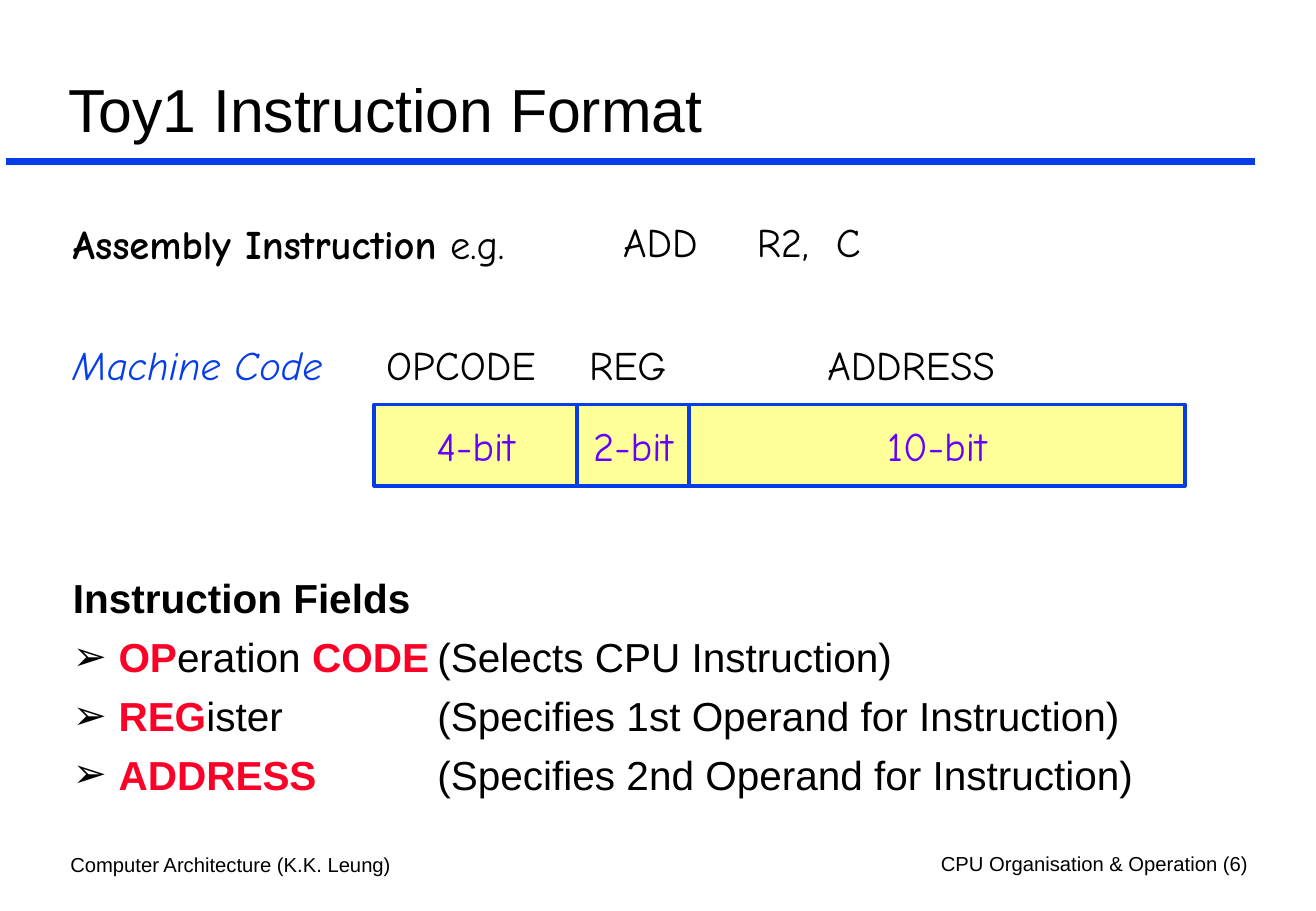
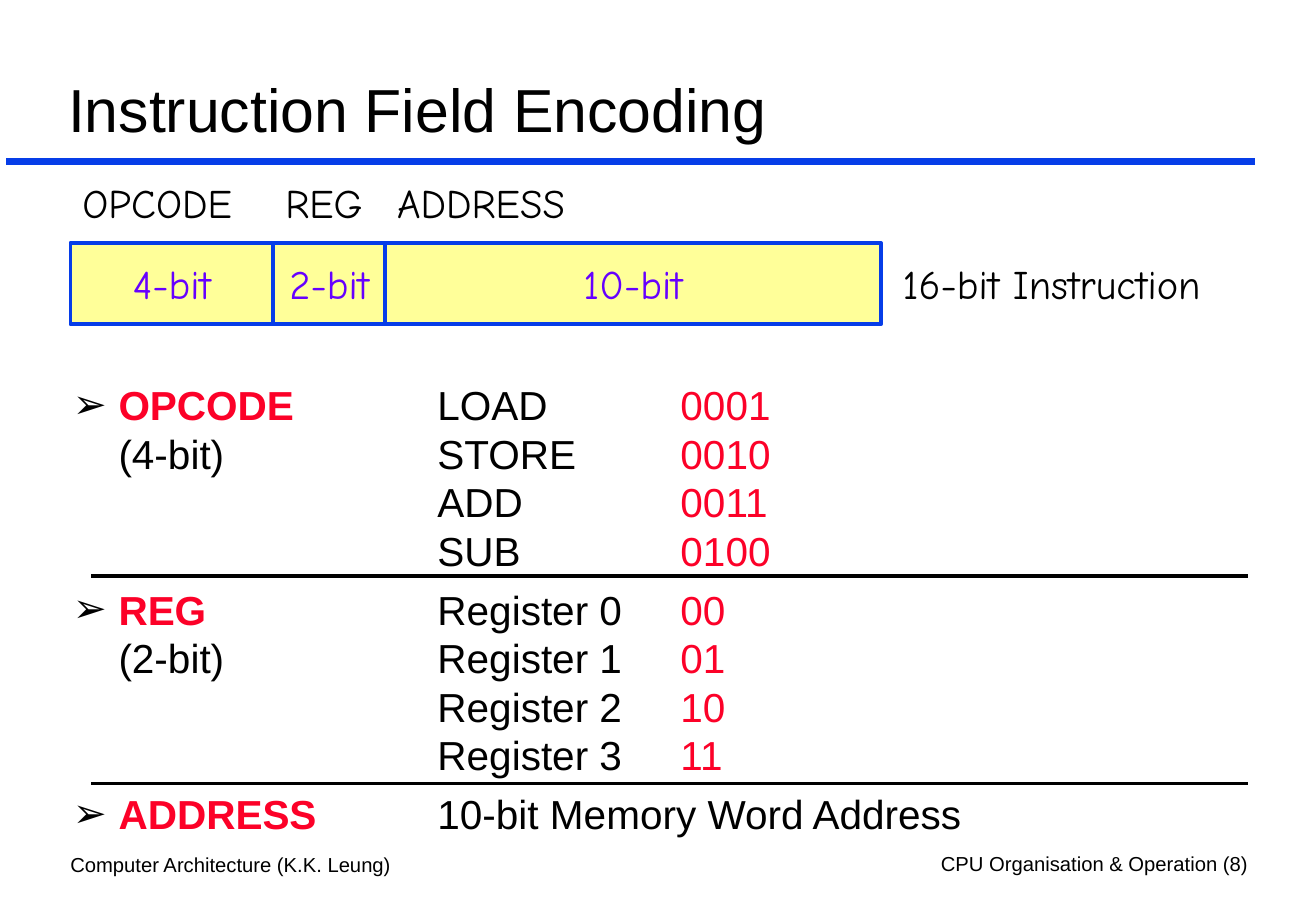
from lxml.etree import SubElement
from pptx import Presentation
from pptx.dml.color import RGBColor
from pptx.enum.shapes import MSO_CONNECTOR, MSO_SHAPE
from pptx.enum.text import MSO_ANCHOR, MSO_AUTO_SIZE, PP_ALIGN
from pptx.oxml.ns import qn
from pptx.util import Pt

PX = 9144
BLACK = RGBColor(0x00, 0x00, 0x00)
BLUE = RGBColor(0x06, 0x3D, 0xE8)
RED = RGBColor(0xFC, 0x01, 0x28)
VIOLET = RGBColor(0x66, 0x00, 0xFF)
YELLOW = RGBColor(0xFF, 0xFF, 0x99)
SANS = "Arial"
COMIC = "Comic Neue"
FIELDS = [("OPCODE", "4-bit", 167), ("REG", "2-bit", 92), ("ADDRESS", "10-bit", 408)]
STOPS = (300, 500)


def scale(*sizes):
    """Turn px lengths into EMU."""
    return [size * PX for size in sizes]


def style(run, size=24, face=SANS, color=BLACK, bold=False, italic=False):
    """Format one run."""
    font = run.font
    font.size, font.name = Pt(size), face
    font.color.rgb = color
    font.bold, font.italic = bold, italic


def add_tabs(para, stops):
    """Set left tab stops, given in px."""
    tabs = SubElement(para._p.get_or_add_pPr(), qn("a:tabLst"))
    for stop in stops:
        SubElement(tabs, qn("a:tab"), pos=str(stop * PX), algn="l")


def add_mark(para, char):
    """Give a paragraph a black bullet, or none."""
    props = para._p.get_or_add_pPr()
    if char:
        color = SubElement(props, qn("a:buClr"))
        SubElement(color, qn("a:srgbClr"), val=str(BLACK))
        SubElement(props, qn("a:buChar"), char=char)
    else:
        SubElement(props, qn("a:buNone"))


def add_text(slide, box, text, align=PP_ALIGN.LEFT, stops=(), **look):
    """Add a text box with one line and return its paragraph."""
    frame = slide.shapes.add_textbox(*scale(*box)).text_frame
    frame.word_wrap = True
    para = frame.paragraphs[0]
    if stops:
        add_tabs(para, stops)
    para.text = text
    para.alignment = align
    style(para.runs[0], **look)
    return para


def add_line(slide, left, right, top, color, width):
    """Draw a level line."""
    line = slide.shapes.add_connector(MSO_CONNECTOR.STRAIGHT, *scale(left, top, right, top))
    line.line.color.rgb = color
    line.line.width = Pt(width)
    SubElement(line._element.spPr, qn("a:effectLst"))


def place(holder, box):
    """Move a placeholder and fix its text size."""
    holder.left, holder.top, holder.width, holder.height = scale(*box)
    holder.text_frame.auto_size = MSO_AUTO_SIZE.NONE


def add_slide(deck, title, page):
    """Add a slide with title, rule and footers."""
    slide = deck.slides.add_slide(deck.slide_layouts[1])
    head = slide.shapes.title
    place(head, (46, 31, 990, 93))
    frame = head.text_frame
    frame.text = title
    frame.vertical_anchor = MSO_ANCHOR.BOTTOM
    frame.paragraphs[0].alignment = PP_ALIGN.LEFT
    style(frame.paragraphs[0].runs[0], size=36)
    add_line(slide, 5, 1033, 133, BLUE, 4)
    add_text(slide, (48, 697, 369, 30), "Computer Architecture (K.K. Leung)", size=12)
    add_text(slide, (677, 696, 360, 30), f"CPU Organisation & Operation ({page})",
             align=PP_ALIGN.RIGHT, size=12)
    return slide


def add_body(slide, box, items):
    """Fill the body with (bullet, lines of (text, colour, bold))."""
    body = slide.placeholders[1]
    place(body, box)
    frame = body.text_frame
    for spot, (char, lines) in enumerate(items):
        para = frame.add_paragraph() if spot else frame.paragraphs[0]
        add_mark(para, char)
        add_tabs(para, STOPS)
        para.space_before = Pt(6 if spot else 0)
        for row, line in enumerate(lines):
            if row:
                para.add_line_break()
            for text, color, bold in line:
                run = para.add_run()
                run.text = text
                style(run, color=color, bold=bold)


def add_fields(slide, left, top, shift=0):
    """Draw the row of bit fields; shift moves the last label."""
    for name, bits, width in FIELDS:
        cell = slide.shapes.add_shape(MSO_SHAPE.RECTANGLE, *scale(left, top, width, 67))
        cell.shadow.inherit = False
        cell.fill.solid()
        cell.fill.fore_color.rgb = YELLOW
        cell.line.color.rgb = BLUE
        cell.line.width = Pt(2.25)
        frame = cell.text_frame
        frame.text = bits
        frame.word_wrap = False
        frame.vertical_anchor = MSO_ANCHOR.MIDDLE
        frame.paragraphs[0].alignment = PP_ALIGN.CENTER
        style(frame.paragraphs[0].runs[0], face=COMIC, color=VIOLET)
        offset = shift if name == "ADDRESS" else 0
        add_text(slide, (left + offset, top - 58, min(width, 200), 50), name, face=COMIC)
        left += width


def code_rows(name, bits, codes):
    """Lay out the lines for one field and its codes."""
    rows = []
    for spot, (word, code) in enumerate(codes):
        lead = [(name, RED, True), (bits, BLACK, False)][spot:spot + 1]
        rows.append(lead + [(f"\t{word}\t", BLACK, False), (code, RED, False)])
    return rows


def show_format(deck):
    """Build the slide on the instruction format."""
    slide = add_slide(deck, "Toy1 Instruction Format", 6)
    add_fields(slide, 308, 333, shift=104)
    para = add_text(slide, (50, 175, 433, 50), "Assembly Instruction", face=COMIC, bold=True)
    run = para.add_run()
    run.text = " e.g."
    style(run, face=COMIC)
    add_text(slide, (503, 174, 216, 50), "ADD\tR2,\tC", stops=(110, 175), face=COMIC)
    add_text(slide, (50, 275, 242, 50), "Machine Code", face=COMIC, color=BLUE, italic=True)
    add_body(slide, (50, 467, 988, 217), [
        (None, [[("Instruction Fields", BLACK, True)]]),
        ("➢", [[("OP", RED, True), ("eration ", BLACK, False), ("CODE", RED, True),
                ("\t(Selects CPU Instruction)", BLACK, False)]]),
        ("➢", [[("REG", RED, True),
                ("ister\t(Specifies 1st Operand for Instruction)", BLACK, False)]]),
        ("➢", [[("ADDRESS", RED, True),
                ("\t(Specifies 2nd Operand for Instruction)", BLACK, False)]]),
    ])


def show_codes(deck):
    """Build the slide on the field encoding."""
    slide = add_slide(deck, "Instruction Field Encoding", 8)
    add_fields(slide, 58, 200)
    add_text(slide, (733, 208, 308, 50), "16-bit Instruction", face=COMIC)
    ops = [("LOAD", "0001"), ("STORE", "0010"), ("ADD", "0011"), ("SUB", "0100")]
    regs = [(f"Register {num}", f"{num:02b}") for num in range(4)]
    add_body(slide, (50, 308, 988, 392), [
        ("➢", code_rows("OPCODE", "(4-bit)", ops)),
        ("➢", code_rows("REG", "(2-bit)", regs)),
        ("➢", [[("ADDRESS", RED, True), ("\t10-bit Memory Word Address", BLACK, False)]]),
    ])
    for top in (474, 645):
        add_line(slide, 75, 1027, top, BLACK, 2.25)


def main():
    """Build and save the deck."""
    deck = Presentation()
    deck.slide_width, deck.slide_height = scale(1083, 750)
    show_format(deck)
    show_codes(deck)
    deck.save("out.pptx")


if __name__ == "__main__":
    main()
